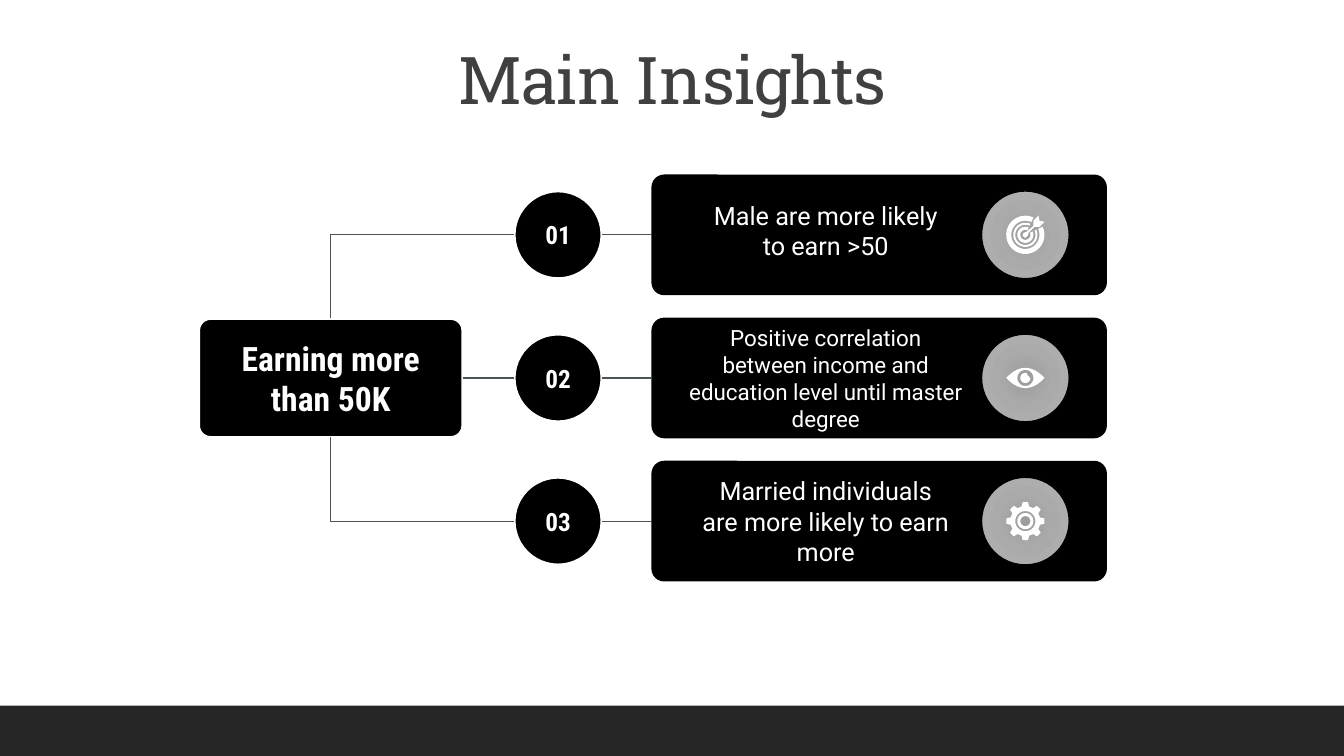
from math import cos, radians, sin

from lxml import etree
from pptx import Presentation
from pptx.dml.color import RGBColor
from pptx.enum import shapes, text
from pptx.oxml import parse_xml
from pptx.oxml.ns import qn
from pptx.util import Inches, Pt

BLACK = RGBColor(0, 0, 0)
WHITE = RGBColor(255, 255, 255)
DARK = RGBColor(0x26, 0x26, 0x26)
GREY = RGBColor(0x40, 0x40, 0x40)
SLATE = RGBColor(0x4A, 0x53, 0x56)
TONES = [(0, "9C9C9C"), (45, "AAAAAA"), (100, "B4B4B4")]

TITLE = "Main Insights"
TOPIC = "Earning more than 50K"
ROWS = [
    ("01", "Male are more likely to earn >50", 18, 2.69, "target"),
    ("02", "Positive correlation between income and education level until master degree",
     16, 2.94, "eye"),
    ("03", "Married individuals are more likely to earn more", 18, 2.69, "gear"),
]
WIDE, HIGH = 13.33, 7.5
MID, STEP = 3.75, 1.42
BOX_H, DISC = 1.18, 0.87
TOPIC_X, TOPIC_W = 1.97, 2.62
NUM_X, CARD_X, CARD_W = 5.1, 6.47, 4.5
TEXT_MID, ICON_MID = 8.19, 10.17
KIND = shapes.MSO_SHAPE


def arc(r, a=0, b=360):
    n = 40
    return [(r * cos(radians(a + (b - a) * i / n)),
             r * sin(radians(a + (b - a) * i / n))) for i in range(n + 1)]


def band(out, inn, a=-25, b=295):
    return [arc(out, a, b) + arc(inn, b, a)]


def lens(w, h):
    xs = [i / 20 for i in range(-20, 21)]
    top = [(w * x, -h * (1 - x * x)) for x in xs]
    return top + [(x, -y) for x, y in reversed(top)]


def cog(teeth, out, inn):
    pts = []
    for i in range(teeth):
        for turn, r in ((-14, inn), (-8, out), (8, out), (14, inn)):
            a = radians(i * 360 / teeth + turn)
            pts.append((r * cos(a), r * sin(a)))
    return pts


DART = [(0.13, -0.19), (0.08, -0.14), (0.08, -0.09), (0.01, -0.03), (-0.02, -0.02),
        (-0.03, 0.01), (0, 0.03), (0.03, 0), (0.03, -0.02), (0.09, -0.08),
        (0.14, -0.08), (0.19, -0.13), (0.14, -0.14)]
ICONS = {
    "target": [band(0.12, 0.1), band(0.08, 0.05), band(0.19, 0.14), [DART]],
    "eye": [[lens(0.19, 0.1), arc(0.08)], [arc(0.05, 0, 290) + [(0.02, -0.03)]]],
    "gear": [[cog(8, 0.19, 0.15), arc(0.1)], [arc(0.08), arc(0.05)]],
}


def write(shape, words, size, font, color=WHITE, bold=False):
    frame = shape.text_frame
    frame.word_wrap = True
    frame.vertical_anchor = text.MSO_ANCHOR.MIDDLE
    frame.margin_left = frame.margin_right = Inches(0.1)
    frame.margin_top = frame.margin_bottom = Inches(0.1)
    frame.text = words
    para = frame.paragraphs[0]
    para.alignment = text.PP_ALIGN.CENTER
    run = para.runs[0]
    run.font.size, run.font.name, run.font.bold = Pt(size), font, bold
    run.font.color.rgb = color
    return para


def paint(shape, fill, line=None, width=1):
    shape.shadow.inherit = False
    shape.fill.solid()
    shape.fill.fore_color.rgb = fill
    if line is None:
        shape.line.fill.background()
    else:
        shape.line.color.rgb, shape.line.width = line, Pt(width)


def block(pool, kind, x, y, w, h, fill, line=None, width=1):
    shape = pool.add_shape(kind, Inches(x), Inches(y), Inches(w), Inches(h))
    paint(shape, fill, line, width)
    if kind == KIND.ROUNDED_RECTANGLE:
        shape.adjustments[0] = 0.1
    return shape


def label(pool, x, y, w, h):
    return pool.add_textbox(Inches(x), Inches(y), Inches(w), Inches(h))


def glow(shape):
    stops = "".join(f'<a:gs pos="{p * 1000}"><a:srgbClr val="{c}"/></a:gs>' for p, c in TONES)
    grad = parse_xml(
        '<a:gradFill xmlns:a="http://schemas.openxmlformats.org/drawingml/2006/main">'
        f'<a:gsLst>{stops}</a:gsLst><a:path path="circle">'
        '<a:fillToRect l="100000" t="100000" r="100000" b="100000"/></a:path></a:gradFill>')
    props = shape.element.spPr
    props.replace(props.find(qn("a:solidFill")), grad)


def icon(pool, name, x, y):
    for loops in ICONS[name]:
        loops = [[(Inches(x + px), Inches(y + py)) for px, py in loop] for loop in loops]
        pen = pool.build_freeform(*loops[0][0])
        pen.add_line_segments(loops[0][1:])
        for loop in loops[1:]:
            pen.move_to(*loop[0])
            pen.add_line_segments(loop[1:])
        paint(pen.convert_to_shape(), WHITE)


def link(pool, x1, y1, x2, y2):
    bent = y1 != y2
    kind = shapes.MSO_CONNECTOR.ELBOW if bent else shapes.MSO_CONNECTOR.STRAIGHT
    wire = pool.add_connector(kind, Inches(x1), Inches(y1), Inches(x2), Inches(y2))
    wire.line.color.rgb, wire.line.width = SLATE, Pt(0.75)
    props = wire._element.spPr
    if bent:
        props.find(qn("a:prstGeom")).set("prst", "bentConnector2")
    etree.SubElement(props, qn("a:effectLst"))


def main():
    """Build the insights slide and save it."""
    deck = Presentation()
    deck.slide_width, deck.slide_height = Inches(WIDE), Inches(HIGH)
    pool = deck.slides.add_slide(deck.slide_layouts[6]).shapes

    block(pool, KIND.RECTANGLE, 0, HIGH - 0.5, WIDE, 0.5, DARK)
    head = write(label(pool, 2.17, 0.62, 9, 0.41), TITLE, 47, "Roboto Slab", GREY)
    head.line_spacing = 0.9
    head.runs[0].font._element.set("spc", "-50")

    topic = block(pool, KIND.ROUNDED_RECTANGLE, TOPIC_X, MID - BOX_H / 2,
                  TOPIC_W, BOX_H, BLACK, WHITE, 2)
    write(topic, TOPIC, 24, "Roboto Condensed", bold=True)

    for i, (num, words, size, wide, sign) in enumerate(ROWS):
        side = i - 1
        y = MID + side * STEP
        top = y - DISC / 2
        block(pool, KIND.ROUNDED_RECTANGLE, CARD_X, y - BOX_H / 2,
              CARD_W, BOX_H, BLACK, BLACK, 1.25)
        note = label(pool, TEXT_MID - wide / 2, y - 0.48 if side < 0 else top, wide, DISC)
        write(note, words, size, "Roboto")
        glow(block(pool, KIND.OVAL, ICON_MID - DISC / 2, top, DISC, DISC, BLACK, BLACK))
        icon(pool, sign, ICON_MID, y)
        disc = block(pool, KIND.OVAL, NUM_X, top, DISC, DISC, BLACK, WHITE, 2)
        write(disc, num, 18, "Roboto Condensed", bold=True)
        link(pool, NUM_X + DISC, y, CARD_X, y)
        end = TOPIC_X + (TOPIC_W / 2 if side else TOPIC_W)
        link(pool, NUM_X, y, end, MID + side * BOX_H / 2)

    deck.save("out.pptx")


if __name__ == "__main__":
    main()
